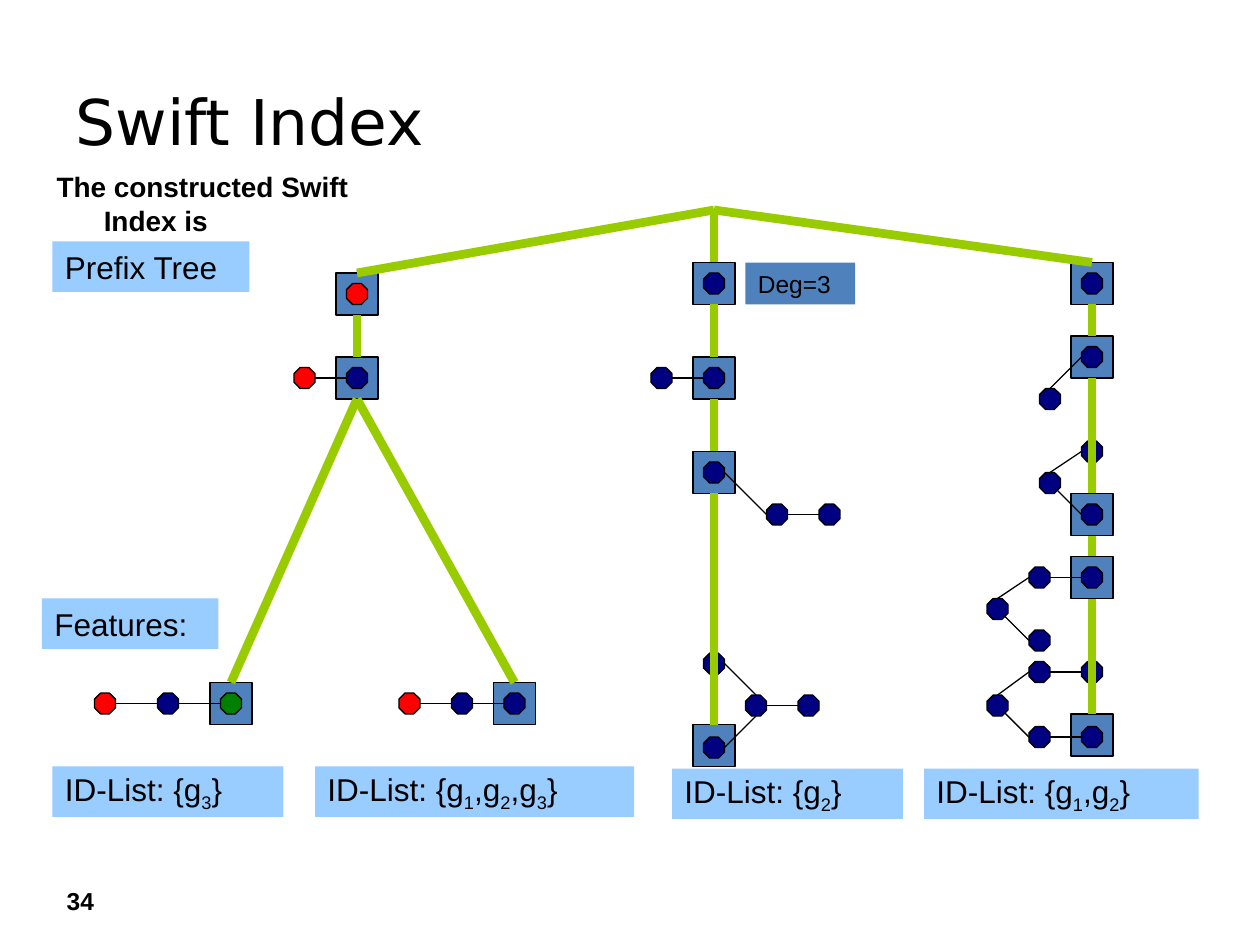
"""Build the Swift Index slide: a prefix tree whose features carry ID lists."""
import itertools
from dataclasses import dataclass

import pptx
import pptx.dml.color
import pptx.enum.shapes
import pptx.enum.text
import pptx.oxml.ns
import pptx.util
from lxml import etree

Pt = pptx.util.Pt
RGBColor = pptx.dml.color.RGBColor
Shape = pptx.enum.shapes.MSO_SHAPE
Anchor = pptx.enum.text.MSO_ANCHOR
LEFT = pptx.enum.text.PP_ALIGN.LEFT

BLACK = RGBColor(0x00, 0x00, 0x00)
RED = RGBColor(0xFF, 0x00, 0x00)
NAVY = RGBColor(0x00, 0x00, 0x80)
GREEN = RGBColor(0x00, 0x80, 0x00)
STEEL = RGBColor(0x4F, 0x81, 0xBD)
SKY = RGBColor(0x99, 0xCC, 0xFF)
LIME = RGBColor(0x99, 0xCC, 0x00)

FRAME_SIZE, NODE_SIZE = 24, 12
RADIUS = NODE_SIZE / 2
SIDES = {"center": (0, 0), "left": (-RADIUS, 0), "right": (RADIUS, 0),
         "top": (0, -RADIUS), "bottom": (0, RADIUS)}
TOP_SITE, BOTTOM_SITE = 0, 2
HANGING = 27


@dataclass(frozen=True)
class Node:
    x: float
    y: float
    fill: RGBColor = NAVY


@dataclass(frozen=True)
class Link:
    start: int
    start_side: str
    end: int
    end_side: str


@dataclass(frozen=True)
class Feature:
    nodes: tuple[Node, ...]
    links: tuple[Link, ...] = ()


@dataclass(frozen=True)
class Label:
    text: str
    left: float
    top: float
    width: float
    height: float = 28.8
    fill: RGBColor = SKY
    size: float = 18


STRAIGHT = Link(0, "right", 1, "left")
ELBOW = (Link(0, "left", 1, "center"), Link(1, "top", 2, "left"))
HOOK = ELBOW + (Link(2, "right", 3, "left"),)

FEATURES = (
    Feature((Node(204, 168, RED),)),
    Feature((Node(174, 216, RED), Node(204, 216)), (STRAIGHT,)),
    Feature((Node(60, 402, RED), Node(96, 402), Node(132, 402, GREEN)),
            (STRAIGHT, Link(1, "right", 2, "left"))),
    Feature((Node(234, 402, RED), Node(264, 402), Node(294, 402)),
            (STRAIGHT, Link(1, "right", 2, "left"))),
    Feature((Node(408, 162),)),
    Feature((Node(378, 216), Node(408, 216)), (STRAIGHT,)),
    Feature((Node(408, 270), Node(444, 294), Node(474, 294)),
            (STRAIGHT, Link(1, "right", 2, "left"))),
    Feature((Node(408, 427.2), Node(432, 403.2), Node(462, 403.2), Node(408, 379.2)),
            (Link(0, "right", 1, "bottom"), Link(1, "right", 2, "left"),
             Link(1, "top", 3, "right"))),
    Feature((Node(624, 162),)),
    Feature((Node(600, 228), Node(624, 204)), (Link(0, "top", 1, "left"),)),
    Feature((Node(624, 294), Node(600, 276), Node(624, 258)), ELBOW),
    Feature((Node(594, 366), Node(570, 348), Node(594, 330), Node(624, 330)), HOOK),
    Feature((Node(594, 421.2), Node(570, 403.2), Node(594, 384), Node(624, 384),
             Node(624, 421.2)), HOOK + (Link(0, "right", 4, "left"),)),
)

ROOT = (408, 120)
TREE_PATHS = (
    ((204, 168), (204, 216), (132, 402)),
    ((204, 216), (294, 402)),
    ((408, 162), (408, 216), (408, 270), (408, 426)),
    ((624, 162), (624, 204), (624, 294), (624, 330), (624, 420)),
)
TOP_FRAMES = ((204, 168), (408, 162), (624, 162))

LABELS = (
    Label("Prefix Tree", 30, 138, 112.5),
    Label("Features:", 24, 342, 100.8),
    Label("Deg=3", 426, 150, 62.7, 24, STEEL, 14),
    Label("ID-List: {g_3}", 30, 438, 132),
    Label("ID-List: {g_1,g_2,g_3}", 180, 438, 182.4),
    Label("ID-List: {g_2}", 384, 439.2, 132),
    Label("ID-List: {g_1,g_2}", 528, 439.2, 157),
)


def set_values(target, values: dict) -> None:
    for name, value in values.items():
        setattr(target, name, value)


def add_span(para, text: str, size: float, bold: bool = False, font: str = "Arial"):
    span = para.add_run()
    span.text = text
    set_values(span.font, {"name": font, "size": Pt(size), "bold": bold})
    span.font.color.rgb = BLACK
    return span


def add_centered(page, kind, x: float, y: float, size: float, fill: RGBColor):
    shape = page.shapes.add_shape(
        kind, Pt(x - size / 2), Pt(y - size / 2), Pt(size), Pt(size))
    shape.shadow.inherit = False
    shape.fill.solid()
    shape.fill.fore_color.rgb = fill
    shape.line.color.rgb = BLACK
    shape.line.width = Pt(0.75)
    return shape


def add_line(page, start: tuple, end: tuple, color: RGBColor, width: float):
    line = page.shapes.add_connector(
        pptx.enum.shapes.MSO_CONNECTOR.STRAIGHT, *map(Pt, (*start, *end)))
    line.line.color.rgb = color
    line.line.width = Pt(width)
    etree.SubElement(line._element.spPr, pptx.oxml.ns.qn("a:effectLst"))
    return line


def side_point(node: Node, side: str) -> tuple[float, float]:
    dx, dy = SIDES[side]
    return node.x + dx, node.y + dy


def add_feature(page, feature: Feature) -> None:
    for link in feature.links:
        add_line(page, side_point(feature.nodes[link.start], link.start_side),
                 side_point(feature.nodes[link.end], link.end_side), BLACK, 0.75)
    for node in feature.nodes:
        add_centered(page, Shape.OCTAGON, node.x, node.y, NODE_SIZE, node.fill)


def add_label(page, label: Label) -> None:
    box = page.shapes.add_shape(Shape.RECTANGLE, *map(
        Pt, (label.left, label.top, label.width, label.height)))
    box.shadow.inherit = False
    box.fill.solid()
    box.fill.fore_color.rgb = label.fill
    box.line.fill.background()
    set_values(box.text_frame, {"word_wrap": True, "vertical_anchor": Anchor.MIDDLE})
    para = box.text_frame.paragraphs[0]
    para.alignment = LEFT
    first, *rest = label.text.split("_")
    add_span(para, first, label.size)
    for piece in rest:
        index = add_span(para, piece[0], label.size)
        index._r.get_or_add_rPr().set("baseline", "-25000")
        add_span(para, piece[1:], label.size)


def add_hanging_text(page, text: str, place: tuple, size: float) -> None:
    box = page.shapes.add_textbox(*map(Pt, place))
    box.text_frame.word_wrap = True
    para = box.text_frame.paragraphs[0]
    para.space_before = Pt(size * 0.2)
    indent = {"marL": Pt(HANGING), "indent": Pt(-HANGING)}
    for name, value in indent.items():
        para._p.get_or_add_pPr().set(name, str(value))
    add_span(para, text, size, bold=True)


def main() -> None:
    deck = pptx.Presentation()
    set_values(deck, {"slide_width": Pt(720), "slide_height": Pt(540)})
    page = deck.slides.add_slide(deck.slide_layouts[5])
    title = page.shapes.title
    set_values(title, {"left": Pt(36), "top": Pt(37.5), "width": Pt(648), "height": Pt(62.5)})
    title.text_frame.vertical_anchor = Anchor.MIDDLE
    title.text_frame.paragraphs[0].alignment = LEFT
    add_span(title.text_frame.paragraphs[0], "Swift Index", 36, font="DejaVu Sans")

    centers = dict.fromkeys(itertools.chain.from_iterable(TREE_PATHS))
    frames = {center: add_centered(page, Shape.RECTANGLE, *center, FRAME_SIZE, STEEL)
              for center in centers}
    for feature in FEATURES:
        add_feature(page, feature)
    for label in LABELS:
        add_label(page, label)
    for upper, lower in itertools.chain.from_iterable(map(itertools.pairwise, TREE_PATHS)):
        branch = add_line(page, upper, lower, LIME, 5)
        branch.begin_connect(frames[upper], BOTTOM_SITE)
        branch.end_connect(frames[lower], TOP_SITE)
    for center in TOP_FRAMES:
        add_line(page, ROOT, center, LIME, 5).end_connect(frames[center], TOP_SITE)

    add_hanging_text(page, "The constructed Swift Index is", (25.2, 93.6, 214.5, 26.6), 16)
    add_hanging_text(page, "34", (31, 502.5, 34, 24.5), 14)
    deck.save("out.pptx")


if __name__ == "__main__":
    main()
